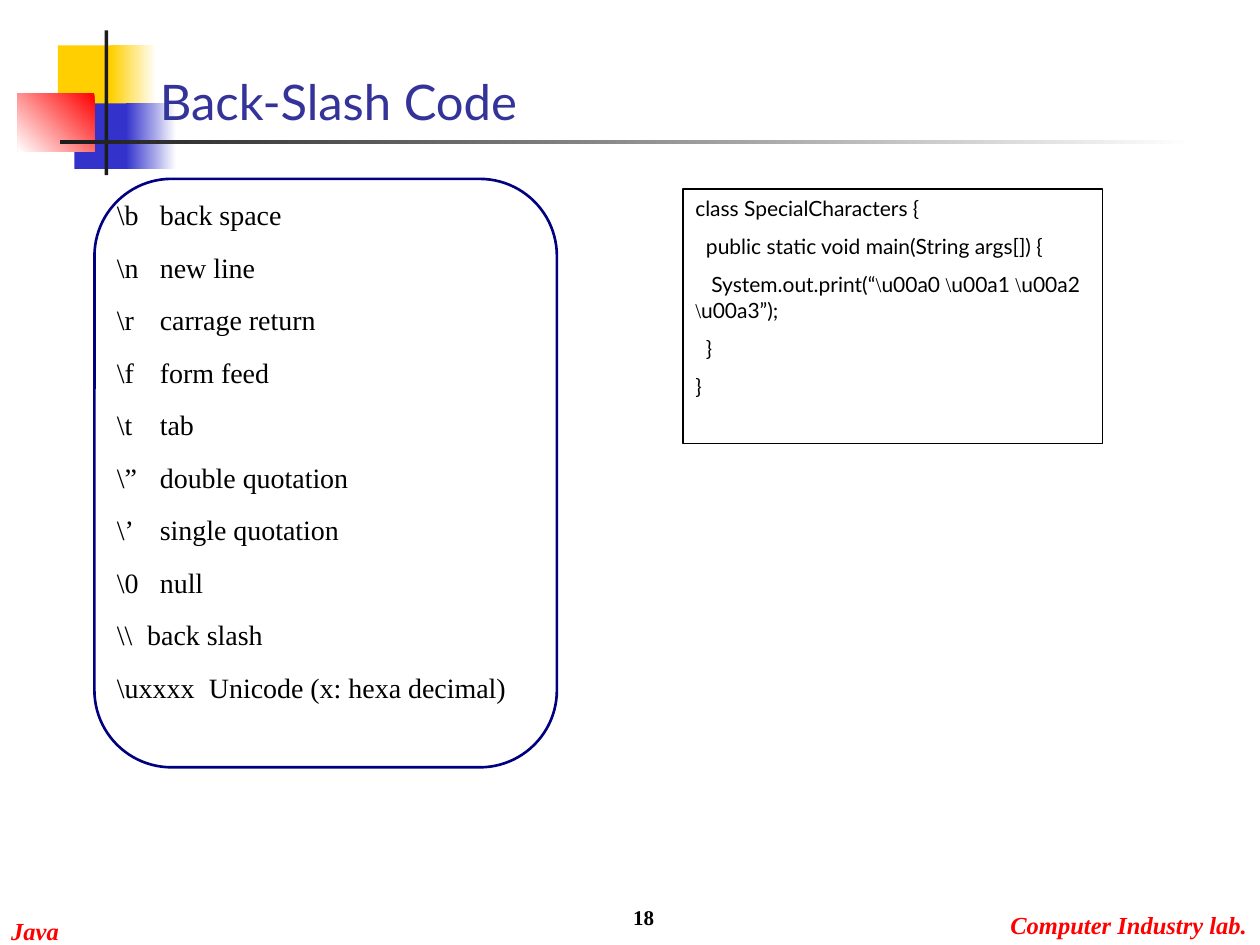
"""Build the Java lecture slide on back-slash codes."""
from lxml.etree import SubElement
from pptx import Presentation
from pptx.dml.color import RGBColor
from pptx.enum.shapes import MSO_SHAPE as Preset
from pptx.enum.text import MSO_ANCHOR as Anchor, PP_ALIGN as Align
from pptx.oxml.ns import qn
from pptx.util import Inches, Pt

COLOURS = {"yellow": "FFCF01", "blue": "3333CC", "red": "FF0000", "white": "FFFFFF",
           "dark": "1C1C1C", "title": "333399", "navy": "000080", "black": "000000"}
SERIF, SANS = "Times New Roman", "Lato"


def rgb(name):
    return RGBColor.from_string(COLOURS[name])


def style(font, colour, **values):
    font.color.rgb = rgb(colour)
    for key, value in values.items():
        setattr(font, key, value)


presentation = Presentation()
presentation.slide_width, presentation.slide_height = Inches(10), Inches(7.5)
slide = presentation.slides.add_slide(presentation.slide_layouts[6])

decorations = [
    ((0.46, 0.36, 0.48, 0.52), ("yellow",), None),
    ((0.88, 0.36, 0.36, 0.52), ("white", "yellow"), 180),
    ((0.59, 0.82, 0.46, 0.52), ("blue",), None),
    ((1, 0.82, 0.4, 0.52), ("white", "blue"), 180),
    ((0.14, 0.74, 0.61, 0.46), ("red", "white"), 225),
    ((0.83, 0.24, 0.03, 1.15), ("dark",), None),
    ((0.48, 1.11, 9, 0.03), ("white", "dark"), 180),
]
for box, names, angle in decorations:
    shape = slide.shapes.add_shape(Preset.RECTANGLE, *map(Inches, box))
    shape.shadow.inherit = False
    shape.line.fill.background()
    if angle is None:
        shape.fill.solid()
        shape.fill.fore_color.rgb = rgb(names[0])
    else:
        shape.fill.gradient()
        shape.fill.gradient_angle = angle
        for stop, name in zip(shape.fill.gradient_stops, names):
            stop.color.rgb = rgb(name)

footer = {"size": Pt(14), "name": SERIF, "bold": True, "italic": True}
labels = [
    ("Java", (-0.01, 7.22, 0.58, 0.34), "red", footer, Anchor.TOP, Align.LEFT, False),
    ("Computer Industry lab.", (7.92, 7.17, 2.08, 0.34), "red", footer,
     Anchor.TOP, Align.LEFT, False),
    ("Back-Slash Code", (1.17, 0.5, 8.08, 0.58), "title", {"size": Pt(28), "name": SANS},
     Anchor.BOTTOM, Align.LEFT, True),
    ("18", (3.21, 6.93, 2.08, 0.5), "black", {"size": Pt(12), "name": SERIF, "bold": True},
     Anchor.BOTTOM, Align.RIGHT, True),
]
for text, box, colour, values, anchor, alignment, wrap in labels:
    frame = slide.shapes.add_textbox(*map(Inches, box)).text_frame
    frame.word_wrap, frame.vertical_anchor = wrap, anchor
    paragraph = frame.paragraphs[0]
    paragraph.text, paragraph.alignment = text, alignment
    style(paragraph.font, colour, **values)

outlines = [
    (Preset.ROUNDED_RECTANGLE, (0.75, 1.42, 3.67, 4.67), "navy", 1.5),
    (Preset.RECTANGLE, (5.42, 1.5, 3.33, 2.02), "black", 0.75),
]
for preset, box, colour, width in outlines:
    shape = slide.shapes.add_shape(preset, *map(Inches, box))
    shape.shadow.inherit = False
    shape.fill.background()
    shape.line.color.rgb, shape.line.width = rgb(colour), Pt(width)
code_box = shape

escapes = [
    (r"\b", "back space", 0.34),
    (r"\n", "new line", 0.34),
    (r"\r", "carrage return", 0.34),
    (r"\f", "form feed", 0.34),
    (r"\t", "tab", 0.34),
    (r"\”", "double quotation", 0.34),
    (r"\’", "single quotation", 0.34),
    (r"\0", "null", 0.34),
    (r"\\", "back slash", 0.24),
    (r"\uxxxx", "Unicode (x: hexa decimal)", 0.73),
]
frame = slide.shapes.add_textbox(*map(Inches, (0.83, 1.52, 3.75, 4.42))).text_frame
frame.word_wrap = True
for index, (escape, meaning, tab) in enumerate(escapes):
    paragraph = frame.add_paragraph() if index else frame.paragraphs[0]
    paragraph.text = f"{escape}\t{meaning}"
    paragraph.space_before = Pt(10.8 if index else 0)
    tab_list = SubElement(paragraph._p.get_or_add_pPr(), qn("a:tabLst"))
    SubElement(tab_list, qn("a:tab"), pos=str(Inches(tab)), algn="l")
    style(paragraph.font, "black", size=Pt(16), name=SERIF)

code = r"""class SpecialCharacters {
  public static void main(String args[]) {
   System.out.print(“\u00a0 \u00a1 \u00a2 \u00a3”);
  }
}"""
frame = code_box.text_frame
frame.word_wrap, frame.vertical_anchor = True, Anchor.TOP
for index, line in enumerate(code.splitlines()):
    paragraph = frame.add_paragraph() if index else frame.paragraphs[0]
    paragraph.alignment = Align.LEFT
    paragraph.space_before = Pt(7.5 if index else 0)
    for part in line.replace("\\", "\n\\\n").split("\n"):
        run = paragraph.add_run()
        run.text = part
        style(run.font, "black", size=Pt(12), name=SERIF if part == "\\" else SANS)

presentation.save("out.pptx")
